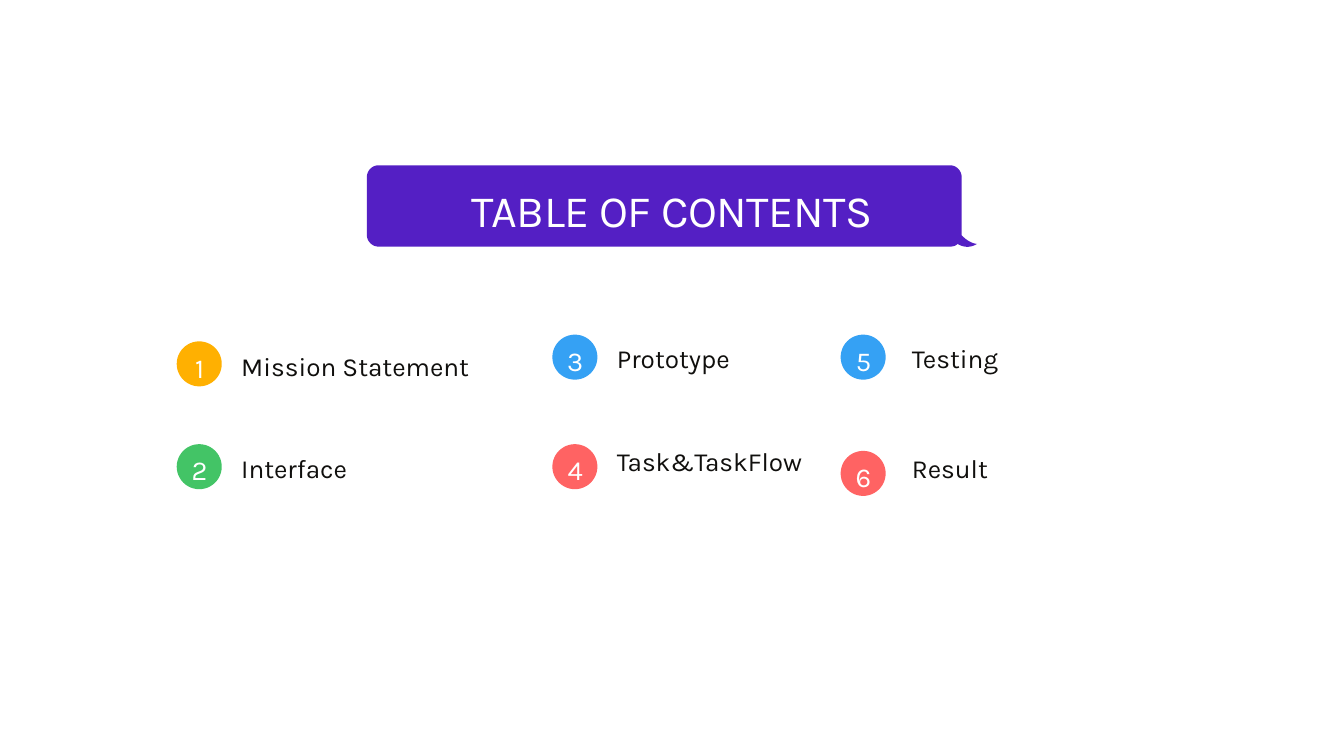
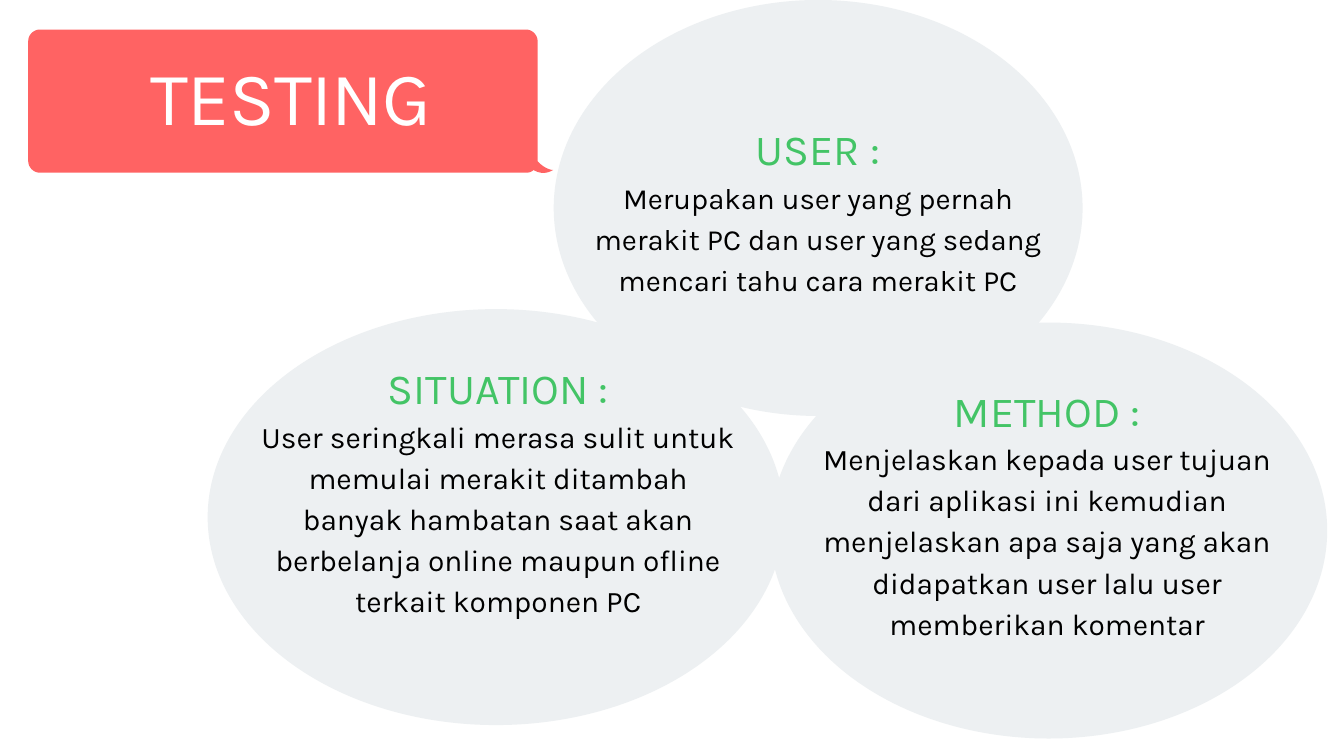
from pptx import Presentation
from pptx.dml.color import RGBColor
from pptx.enum.shapes import MSO_SHAPE as SHAPE
from pptx.enum.text import MSO_AUTO_SIZE as AUTO, PP_ALIGN as ALIGN
from pptx.util import Inches, Pt

FONT = "Karla"
PURPLE, CORAL, AMBER, GREEN, BLUE = "541FC4", "FF6363", "FFB001", "43C466", "35A1F4"
PALE, INK, BLACK, WHITE = "EDF0F2", "100F0D", "000000", "FFFFFF"

BADGE = 0.67
LABEL_SIZE = 28
BADGE_SIZE = 29.3
HEADING_SIZE = 46

CONTENTS = [
    ("1", "Mission Statement", AMBER, (2.63, 5.08), (3.59, 5.13)),
    ("2", "Interface", GREEN, (2.63, 6.61), (3.59, 6.65)),
    ("3", "Prototype", BLUE, (8.22, 4.98), (9.18, 5.02)),
    ("4", "Task&TaskFlow", CORAL, (8.22, 6.61), (9.18, 6.55)),
    ("5", "Testing", BLUE, (12.51, 4.98), (13.57, 5.02)),
    ("6", "Result", CORAL, (12.51, 6.71), (13.57, 6.65)),
]

TESTING = [
    ("USER :", "Merupakan user yang pernah merakit PC dan user yang sedang "
     "mencari tahu cara merakit PC", 31.4,
     (8.24, 0, 7.87, 6.19), (8.61, 1.7, 7.13, 2.7)),
    ("SITUATION :", "User seringkali merasa sulit untuk memulai merakit ditambah "
     "banyak hambatan saat akan berbelanja online maupun ofline terkait komponen PC", 32,
     (3.09, 4.6, 8.58, 6.19), (3.88, 5.26, 7.07, 4.59)),
    ("METHOD :", "Menjelaskan kepada user tujuan dari aplikasi ini kemudian "
     "menjelaskan apa saja yang akan didapatkan user lalu user memberikan komentar", 32,
     (11.46, 4.8, 8.29, 6.19), (12.02, 5.59, 7.13, 3.96)),
]


def rgb(hex_color):
    """Turn a hex string into a colour."""
    return RGBColor.from_string(hex_color)


def paint(sp, color):
    """Give a shape a flat fill with no line or shadow."""
    sp.shadow.inherit = False
    sp.fill.solid()
    sp.fill.fore_color.rgb = rgb(color)
    sp.line.fill.background()


def add_oval(slide, box, color):
    """Draw a filled ellipse."""
    paint(slide.shapes.add_shape(SHAPE.OVAL, *map(Inches, box)), color)


def add_text(slide, box, lines, align=ALIGN.LEFT, spacing=0):
    """Add a text box from (text, size, line height, colour) lines."""
    sp = slide.shapes.add_textbox(*map(Inches, box))
    tf = sp.text_frame
    tf.word_wrap = True
    tf.auto_size = AUTO.SHAPE_TO_FIT_TEXT
    tf.margin_left = tf.margin_top = tf.margin_right = tf.margin_bottom = 0
    for i, (text, size, height, color) in enumerate(lines):
        p = tf.add_paragraph() if i else tf.paragraphs[0]
        p.alignment = align
        p.line_spacing = Pt(height)
        r = p.add_run()
        r.text = text
        r.font.name = FONT
        r.font.size = Pt(size)
        r.font.color.rgb = rgb(color)
        if spacing:
            r._r.get_or_add_rPr().set("spc", str(round(spacing * 100)))


def curve(start, ctrl1, ctrl2, end, steps=12):
    """List points along a cubic curve, leaving out its start."""
    points = []
    for i in range(1, steps + 1):
        t = i / steps
        weights = ((1 - t) ** 3, 3 * t * (1 - t) ** 2, 3 * t * t * (1 - t), t ** 3)
        points.append(tuple(
            sum(w * v for w, v in zip(weights, axis))
            for axis in zip(start, ctrl1, ctrl2, end)))
    return points


def add_bubble(slide, left, top, right, bottom, color):
    """Draw a rounded speech bubble with a tail at its lower right."""
    rad, bend = 0.17, 0.08
    notch, tip = (right - 0.06, bottom - 0.04), (right + 0.23, bottom - 0.04)
    start = (right, bottom - rad)
    segments = [
        [(right, top + rad), (right, top + bend), (right - bend, top), (right - rad, top)],
        [(left + rad, top), (left + bend, top), (left, top + bend), (left, top + rad)],
        [(left, bottom - rad), (left, bottom - bend), (left + bend, bottom),
         (left + rad, bottom)],
        [(right - rad, bottom), (right - 0.13, bottom), (right - 0.09, bottom - 0.01), notch],
        [notch, (right - 0.01, bottom - 0.01), (right + 0.1, bottom + 0.04), tip],
        [tip, tip, (right + 0.12, bottom - 0.04), start],
    ]
    points = [pt for seg in segments for pt in [seg[0], *curve(*seg)]]
    builder = slide.shapes.build_freeform(*map(Inches, start))
    builder.add_line_segments([tuple(map(Inches, pt)) for pt in points], close=True)
    paint(builder.convert_to_shape(), color)


def add_title(slide, bubble, color, box, text, size, spacing):
    """Add a speech bubble holding the slide title."""
    add_bubble(slide, *bubble, color)
    add_text(slide, box, [(text, size, size * 1.4, WHITE)], ALIGN.CENTER, spacing)


def add_entry(slide, number, label, color, badge_at, label_at):
    """Add a numbered badge and its label."""
    x, y = badge_at
    add_oval(slide, (x, y, BADGE, BADGE), color)
    add_text(slide, (x + 0.12, y + 0.06, 0.44, 0.53),
             [(number, BADGE_SIZE, 41, WHITE)], ALIGN.CENTER)
    add_text(slide, (*label_at, 5.3, 0.53), [(label, LABEL_SIZE, 39.2, INK)])


def add_contents(slide):
    """Fill the table of contents slide."""
    add_title(slide, (5.46, 2.46, 14.31, 3.67), PURPLE, (6.24, 2.59, 7.52, 0.87),
              "TABLE OF CONTENTS", 48, -0.5)
    for entry in CONTENTS:
        add_entry(slide, *entry)


def add_testing(slide):
    """Fill the testing slide."""
    add_title(slide, (0.42, 0.44, 8, 2.57), CORAL, (1.24, 0.52, 6.18, 1.47),
              "TESTING", 81, -0.8)
    for *_, oval, _ in TESTING:
        add_oval(slide, oval, PALE)
    for heading, body, size, _, box in TESTING:
        add_text(slide, box, [(heading, HEADING_SIZE, 64.4, GREEN),
                              (body, size, 44, BLACK)], ALIGN.CENTER)


def main():
    """Build and save both slides."""
    prs = Presentation()
    prs.slide_width, prs.slide_height = Inches(20), Inches(11.25)
    for fill_slide in (add_contents, add_testing):
        fill_slide(prs.slides.add_slide(prs.slide_layouts[6]))
    prs.save("out.pptx")


if __name__ == "__main__":
    main()
